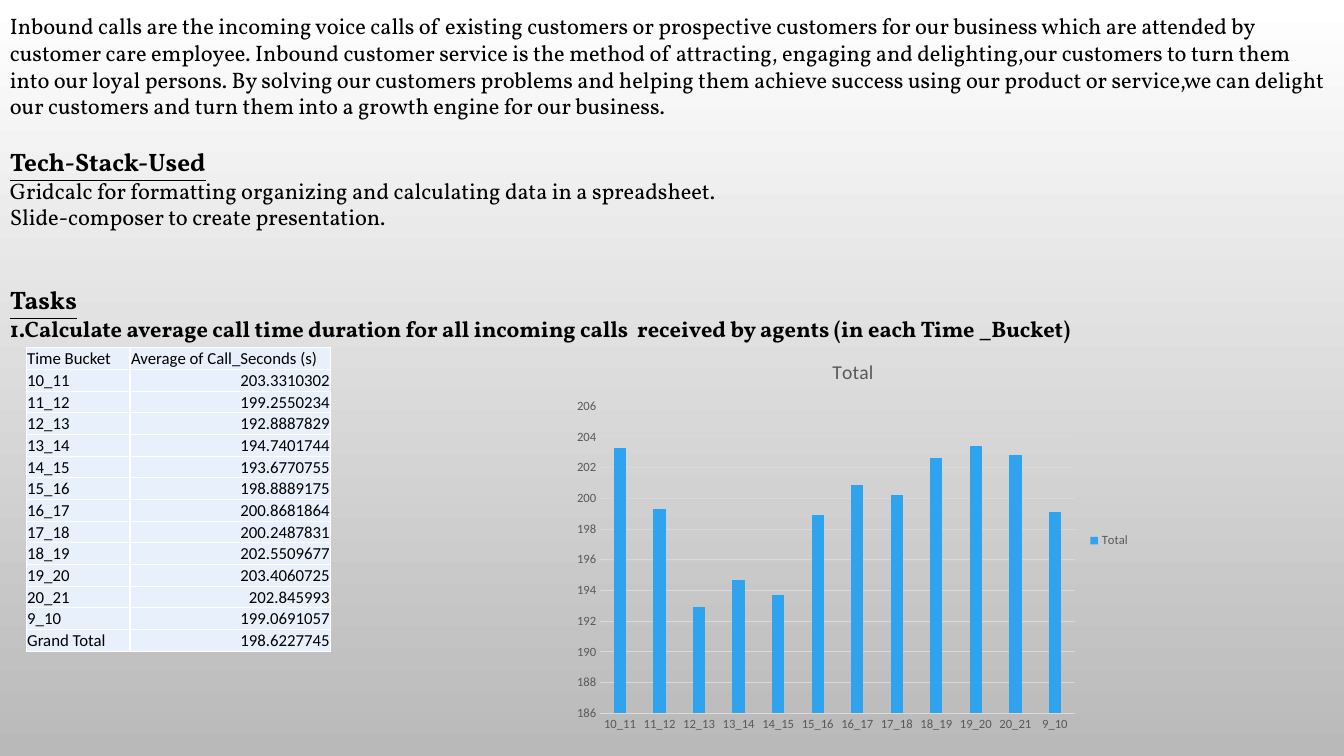
from lxml.etree import SubElement
from pptx import Presentation
from pptx.chart.data import CategoryChartData
from pptx.dml.color import RGBColor
from pptx.enum.chart import XL_CHART_TYPE, XL_LEGEND_POSITION, XL_TICK_MARK
from pptx.enum.text import MSO_ANCHOR, PP_ALIGN
from pptx.oxml.ns import qn
from pptx.util import Inches, Pt

INTRO = (
    "Inbound calls are the incoming voice calls of existing customers or prospective customers "
    "for our business which are attended by customer care employee. Inbound customer service is "
    "the method of attracting, engaging and delighting,our customers to turn them into our loyal "
    "persons. By solving our customers problems and helping them achieve success using our product "
    "or service,we can delight our customers and turn them into a growth engine for our business."
)
TASK = "1.Calculate average call time duration for all incoming calls  received by agents (in each Time _Bucket)"

# Text, size, bold, underline, space before
NOTES = [
    (INTRO, 16, False, False, 0),
    ("Tech-Stack-Used", 18, True, True, 19.3),
    ("Gridcalc for formatting organizing and calculating data in a spreadsheet.", 16, False, False, 0),
    ("Slide-composer to create presentation.", 16, False, False, 0),
    ("Tasks", 18, True, True, 38.6),
    (TASK, 16, True, False, 0),
]

CALLS = {
    "10_11": "203.3310302",
    "11_12": "199.2550234",
    "12_13": "192.8887829",
    "13_14": "194.7401744",
    "14_15": "193.6770755",
    "15_16": "198.8889175",
    "16_17": "200.8681864",
    "17_18": "200.2487831",
    "18_19": "202.5509677",
    "19_20": "203.4060725",
    "20_21": "202.845993",
    "9_10": "199.0691057",
}
ROWS = [
    ("Time Bucket", "Average of Call_Seconds (s)"),
    *CALLS.items(),
    ("Grand Total", "198.6227745"),
]


def color(code):
    return RGBColor.from_string(code)


class Deck:
    serif, sans = "Vollkorn", "Calibri"
    ink, gray, rule = "000000", "595959", "D9D9D9"
    pale, white, blue = "E8F0FC", "FFFFFF", "2FA3EE"

    def __init__(self):
        self.show = Presentation()
        self.show.slide_width = Inches(13.33)
        self.show.slide_height = Inches(7.5)
        self.slide = self.show.slides.add_slide(self.show.slide_layouts[6])

    def style(self, font, face, size, code, bold=False, line=False):
        font.name, font.size = face, Pt(size)
        font.bold, font.underline = bold, line
        font.color.rgb = color(code)

    def fade(self, top, base):
        fill = self.slide.background.fill
        fill.gradient()
        fill.gradient_angle = 270
        for stop, code in zip(fill.gradient_stops, (top, base)):
            stop.color.rgb = color(code)

    def text(self, box, notes):
        frame = self.slide.shapes.add_textbox(*map(Inches, box)).text_frame
        frame.word_wrap = True
        frame.text = "\n".join(note[0] for note in notes)
        for para, (_, size, bold, line, gap) in zip(frame.paragraphs, notes):
            para.space_before = Pt(gap)
            self.style(para.runs[0].font, self.serif, size, self.ink, bold, line)

    def edge(self, cell):
        props = cell._tc.get_or_add_tcPr()
        for spot, side in enumerate(("lnL", "lnR", "lnT", "lnB")):
            line = SubElement(props, qn("a:" + side), w=str(Pt(1)))
            fill = SubElement(line, qn("a:solidFill"))
            SubElement(fill, qn("a:srgbClr"), val=self.white)
            props.insert(spot, line)

    def table(self, left, top, wide, high, rows):
        size = Inches(left), Inches(top), Inches(sum(wide)), Inches(high)
        grid = self.slide.shapes.add_table(len(rows), len(wide), *size).table
        grid.first_row = grid.horz_banding = False
        for col, width in zip(grid.columns, wide):
            col.width = Inches(width)
        for y, row in enumerate(rows):
            grid.rows[y].height = Inches(high / len(rows))
            for x, word in enumerate(row):
                cell = grid.cell(y, x)
                cell.text_frame.text = word
                cell.vertical_anchor = MSO_ANCHOR.BOTTOM
                cell.margin_left = cell.margin_right = cell.margin_top = Inches(0.01)
                cell.margin_bottom = 0
                cell.fill.solid()
                cell.fill.fore_color.rgb = color(self.pale)
                self.edge(cell)
                para = cell.text_frame.paragraphs[0]
                para.alignment = PP_ALIGN.RIGHT if x and y else PP_ALIGN.LEFT
                self.style(para.runs[0].font, self.sans, 12, self.ink)

    def chart(self, box, name, data):
        feed = CategoryChartData()
        feed.categories = list(data)
        feed.add_series(name, [round(float(v), 1) for v in data.values()])
        kind = XL_CHART_TYPE.COLUMN_CLUSTERED
        chart = self.slide.shapes.add_chart(kind, *map(Inches, box), feed).chart
        self.style(chart.font, self.sans, 10, self.ink)

        # Title and legend
        title = chart.chart_title
        title.text_frame.text = name
        title.include_in_layout = False
        self.style(title.text_frame.paragraphs[0].runs[0].font, self.sans, 14, self.gray)
        chart.has_legend = True
        chart.legend.position = XL_LEGEND_POSITION.RIGHT
        chart.legend.include_in_layout = False
        self.style(chart.legend.font, self.sans, 9, self.gray)

        # Bars
        plot = chart.plots[0]
        plot.gap_width, plot.overlap, plot.vary_by_categories = 219, -27, False
        fill = plot.series[0].format.fill
        fill.solid()
        fill.fore_color.rgb = color(self.blue)

        # Axes
        cat, val = chart.category_axis, chart.value_axis
        for axis in (cat, val):
            axis.major_tick_mark = axis.minor_tick_mark = XL_TICK_MARK.NONE
            self.style(axis.tick_labels.font, self.sans, 9, self.gray)
        val.minimum_scale, val.maximum_scale, val.major_unit = 186, 206, 2
        val.has_major_gridlines = True
        val.format.line.fill.background()
        for line in (cat.format.line, val.major_gridlines.format.line):
            line.color.rgb = color(self.rule)
            line.width = Pt(0.75)


def main():
    deck = Deck()
    deck.fade("FFFFFF", "B9B9B9")
    deck.text((0, 0.07, 13.33, 3.94), NOTES)
    deck.table(0.26, 3.45, (1.03, 1.99), 3.01, ROWS)
    deck.chart((5.61, 3.39, 5.7, 3.95), "Total", CALLS)
    deck.show.save("out.pptx")


if __name__ == "__main__":
    main()
